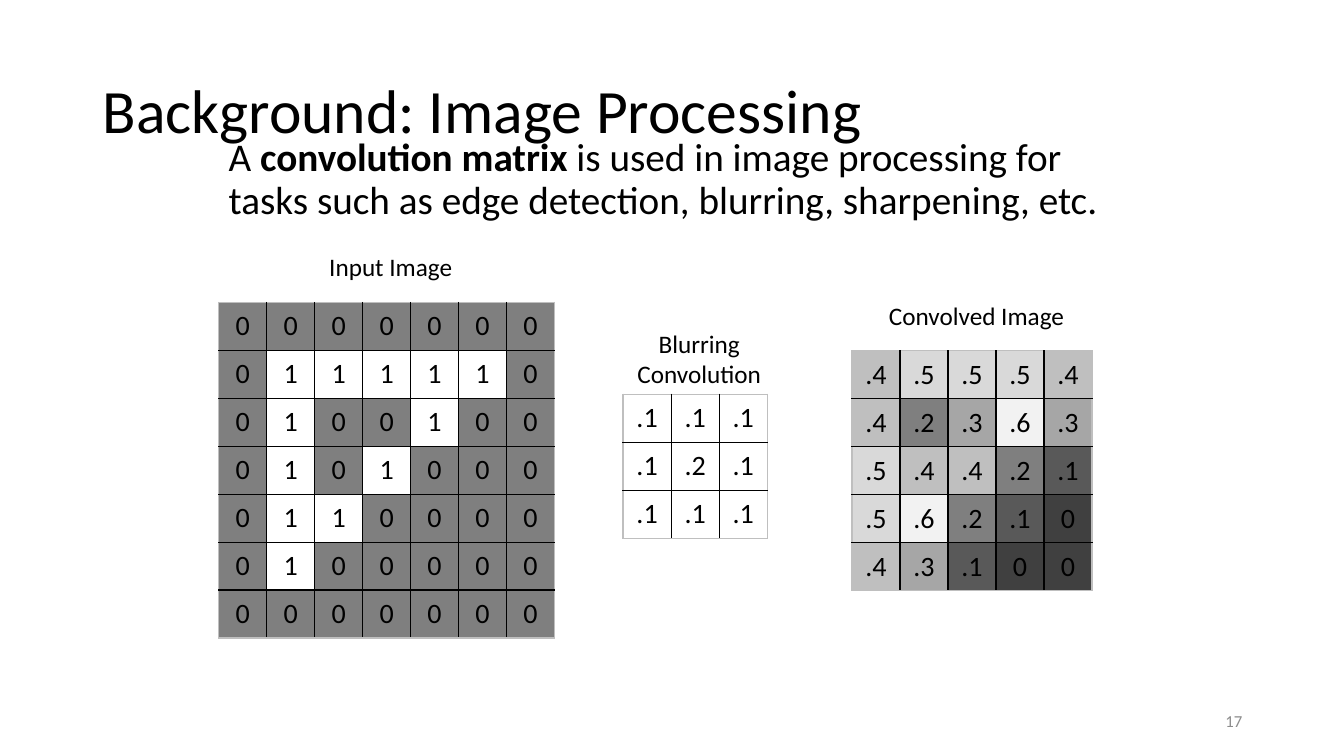
from dataclasses import dataclass

from lxml import etree
from pptx import Presentation
from pptx import util as u
from pptx.dml.color import RGBColor
from pptx.enum import text
from pptx.oxml import ns


@dataclass(frozen=True)
class Theme:
    font: str = "Calibri"
    ink: str = "000000"
    muted: str = "8C8C8C"
    frame: str = "BFBFBF"
    title: int = 44
    body: int = 28
    cell: int = 20
    label: int = 18
    number: int = 12
    rule: int = 1


PIXEL_SHADES = {"0": "7F7F7F", "1": "FFFFFF"}
KERNEL_SHADES = {".1": "FFFFFF", ".2": "FFFFFF"}
CONVOLVED_SHADES = {"0": "404040", ".1": "595959", ".2": "7F7F7F",
                    ".3": "A6A6A6", ".4": "BFBFBF", ".5": "D9D9D9",
                    ".6": "F2F2F2"}


class SlideBuilder:
    def __init__(self, slide, theme):
        self.s = slide
        self.theme = theme

    def style(self, r, size, color, bold=False):
        r.font.name = self.theme.font
        r.font.size = u.Pt(size)
        r.font.bold = bold
        r.font.color.rgb = RGBColor.from_string(color)

    def textbox(self, box, parts, size, color=None, align=text.PP_ALIGN.LEFT,
                anchor=text.MSO_ANCHOR.MIDDLE, spacing=1.0):
        """Add one paragraph made of (wording, bold) parts."""
        tf = self.s.shapes.add_textbox(*map(u.Inches, box)).text_frame
        tf.word_wrap = True
        tf.vertical_anchor = anchor
        p = tf.paragraphs[0]
        p.alignment = align
        p.line_spacing = spacing
        for wording, bold in parts:
            r = p.add_run()
            r.text = wording
            self.style(r, size, color or self.theme.ink, bold)

    def label(self, box, wording):
        tf = self.s.shapes.add_textbox(*map(u.Inches, box)).text_frame
        tf.word_wrap = True
        tf.vertical_anchor = text.MSO_ANCHOR.MIDDLE
        p = tf.paragraphs[0]
        p.text = wording
        p.alignment = text.PP_ALIGN.CENTER
        for r in p.runs:
            self.style(r, self.theme.label, self.theme.ink)

    def border(self, cell, side, color):
        pr = cell._tc.get_or_add_tcPr()
        ln = etree.SubElement(pr, ns.qn(f"a:ln{side}"),
                              w=str(u.Pt(self.theme.rule)))
        fill = etree.SubElement(ln, ns.qn("a:solidFill"))
        etree.SubElement(fill, ns.qn("a:srgbClr"), val=color)

    def matrix(self, left, top, side, rows, shades):
        """Add a square matrix whose cell shade follows its value."""
        values = [row.split() for row in rows]
        n = len(values)
        table = self.s.shapes.add_table(
            n, n, *map(u.Inches, (left, top, side, side))).table
        table.first_row = table.horz_banding = False
        for i in range(n):
            table.columns[i].width = table.rows[i].height = u.Inches(side / n)
        for i, row in enumerate(values):
            for j, value in enumerate(row):
                cell = table.cell(i, j)
                cell.margin_left = cell.margin_right = 0
                cell.margin_top = cell.margin_bottom = 0
                cell.vertical_anchor = text.MSO_ANCHOR.MIDDLE
                p = cell.text_frame.paragraphs[0]
                p.text = value
                p.alignment = text.PP_ALIGN.CENTER
                self.style(p.runs[0], self.theme.cell, self.theme.ink)
                # Borders come before the fill in the cell properties
                outer = {"L": j == 0, "R": j == n - 1,
                         "T": i == 0, "B": i == n - 1}
                for edge, is_outer in outer.items():
                    self.border(cell, edge, self.theme.frame if is_outer
                                else self.theme.ink)
                cell.fill.solid()
                cell.fill.fore_color.rgb = RGBColor.from_string(shades[value])


def main():
    prs = Presentation()
    prs.slide_width, prs.slide_height = u.Inches(13.33), u.Inches(7.5)
    theme = Theme()
    b = SlideBuilder(prs.slides.add_slide(prs.slide_layouts[6]), theme)

    # Title, introduction and slide number
    b.textbox((0.92, 0.4, 11.5, 1.45),
              [("Background: Image Processing", False)],
              theme.title, spacing=0.9)
    b.textbox((2.17, 1.32, 9, 1.1),
              [("A ", False), ("convolution matrix ", True),
               ("is used in image processing for tasks such as edge "
                "detection, blurring, sharpening, etc.", False)],
              theme.body, anchor=text.MSO_ANCHOR.TOP, spacing=0.9)
    b.textbox((9.42, 6.95, 3, 0.4), [("17", False)], theme.number,
              theme.muted, text.PP_ALIGN.RIGHT)

    # Input image
    b.matrix(2.17, 3, 3.33,
             ["0 0 0 0 0 0 0",
              "0 1 1 1 1 1 0",
              "0 1 0 0 1 0 0",
              "0 1 0 1 0 0 0",
              "0 1 1 0 0 0 0",
              "0 1 0 0 0 0 0",
              "0 0 0 0 0 0 0"], PIXEL_SHADES)
    b.label((3.12, 2.43, 1.51, 0.43), "Input Image")

    # Convolved image
    b.matrix(8.45, 3.48, 2.38,
             [".4 .5 .5 .5 .4",
              ".4 .2 .3 .6 .3",
              ".5 .4 .4 .2 .1",
              ".5 .6 .2 .1 0",
              ".4 .3 .1 0 0"], CONVOLVED_SHADES)
    b.label((8.64, 2.91, 2.09, 0.43), "Convolved Image")

    # Blurring kernel
    b.matrix(6.18, 3.91, 1.43,
             [".1 .1 .1",
              ".1 .2 .1",
              ".1 .1 .1"], KERNEL_SHADES)
    b.label((6.18, 3.34, 1.51, 0.43), "Blurring\vConvolution")

    prs.save("out.pptx")


if __name__ == "__main__":
    main()
